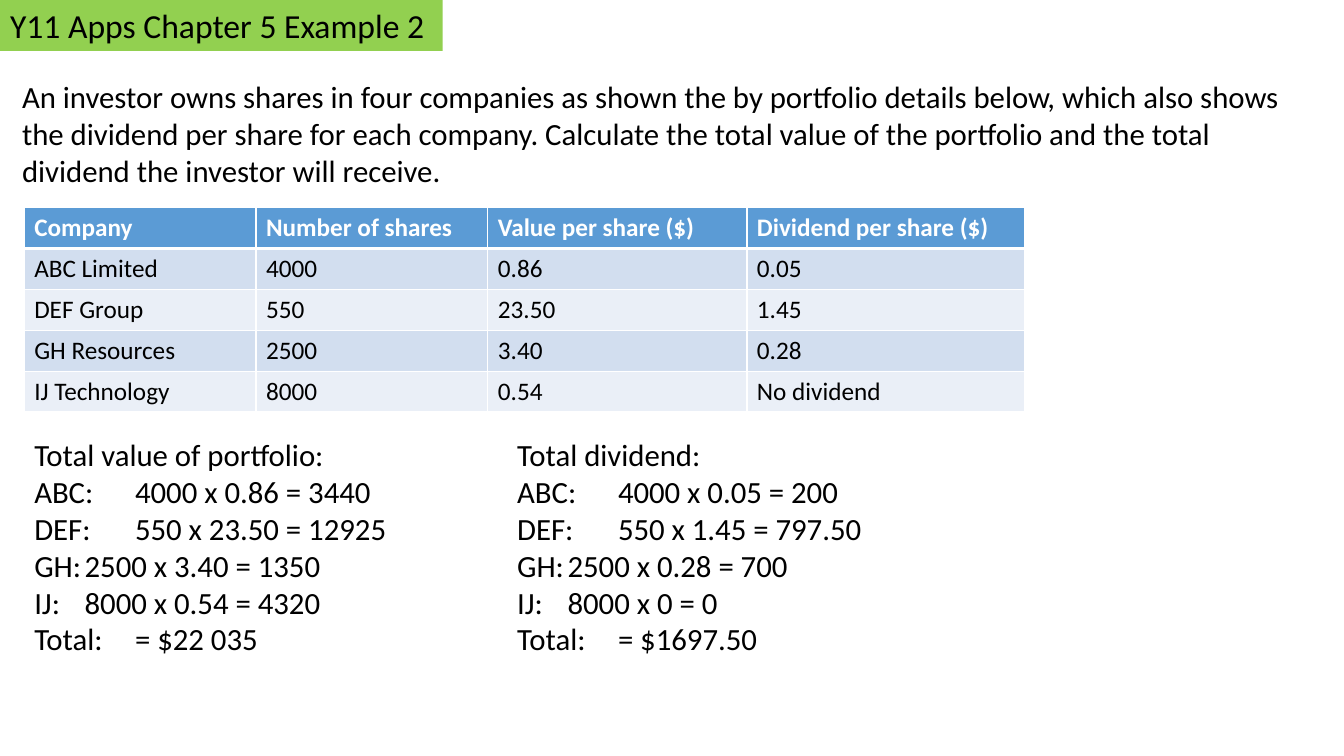
from lxml.etree import SubElement
from pptx import Presentation
from pptx.dml.color import RGBColor
from pptx.enum.text import MSO_ANCHOR, MSO_AUTO_SIZE, PP_ALIGN
from pptx.oxml.ns import qn
from pptx.util import Inches, Pt

COLOURS = {
    "text": "000000", "white": "FFFFFF", "banner": "92D050",
    "header": "5B9BD5", "odd": "D2DEEF", "even": "EAEFF7",
}

deck = Presentation()
deck.slide_width, deck.slide_height = Inches(13.33), Inches(7.5)
# The slide is a grid of 100 columns by 100 rows
COLUMN, ROW = deck.slide_width / 100, deck.slide_height / 100


def write(frame, lines, size=22, colour="text", bold=False, anchor=MSO_ANCHOR.TOP):
    """Fill a text frame from (text, tab stop in columns) pairs."""
    frame.word_wrap = True
    frame.auto_size = MSO_AUTO_SIZE.NONE
    frame.vertical_anchor = anchor
    for number, (text, tab) in enumerate(lines):
        para = frame.paragraphs[0] if number == 0 else frame.add_paragraph()
        properties = para._p.get_or_add_pPr()
        properties.set("marL", "0")
        properties.set("indent", "0")
        SubElement(properties, qn("a:buNone"))
        if tab:
            stops = SubElement(properties, qn("a:tabLst"))
            SubElement(stops, qn("a:tab"), pos=str(round(tab * COLUMN)), algn="l")
        para.alignment = PP_ALIGN.LEFT
        para.space_before = Pt(0)
        span = para.add_run()
        span.text = text
        span.font.name, span.font.size, span.font.bold = "Calibri", Pt(size), bold
        span.font.color.rgb = RGBColor.from_string(COLOURS[colour])


def grid(left, top, width, height):
    """Turn grid columns and rows into lengths."""
    return [round(n * unit) for n, unit in
            zip((left, top, width, height), (COLUMN, ROW, COLUMN, ROW))]


layout = deck.slide_layouts.get_by_name("Two Content")
page = deck.slides.add_slide(layout)
title, *workings = [page.placeholders[index] for index in (0, 1, 2)]
for holder in page.placeholders:
    if holder.placeholder_format.idx > 2:
        holder.element.getparent().remove(holder.element)

# Title banner
title.left, title.top, title.width, title.height = grid(0, 0, 32.93, 6.72)
title.fill.solid()
title.fill.fore_color.rgb = RGBColor.from_string(COLOURS["banner"])
write(title.text_frame, [("Y11 Apps Chapter 5 Example 2", None)], size=24,
      anchor=MSO_ANCHOR.MIDDLE)

# Question
question = page.shapes.add_textbox(*grid(0.9, 9.6, 96.77, 16.13))
write(question.text_frame, [(
    "An investor owns shares in four companies as shown the by portfolio details "
    "below, which also shows the dividend per share for each company. Calculate the "
    "total value of the portfolio and the total dividend the investor will receive.",
    None)])

# Portfolio table
PORTFOLIO = [
    ("Company", "Number of shares", "Value per share ($)", "Dividend per share ($)"),
    ("ABC Limited", "4000", "0.86", "0.05"),
    ("DEF Group", "550", "23.50", "1.45"),
    ("GH Resources", "2500", "3.40", "0.28"),
    ("IJ Technology", "8000", "0.54", "No dividend"),
]
WIDTHS = (17.25, 17.25, 19.28, 20.63)
ROW_HEIGHT = 5.4
table = page.shapes.add_table(
    len(PORTFOLIO), len(WIDTHS),
    *grid(1.8, 27.47, sum(WIDTHS), ROW_HEIGHT * len(PORTFOLIO))).table
for column, width in zip(table.columns, WIDTHS):
    column.width = round(width * COLUMN)
for r, record in enumerate(PORTFOLIO):
    header = r == 0
    table.rows[r].height = round(ROW_HEIGHT * ROW)
    shade = "header" if header else "odd" if r % 2 else "even"
    for c, text in enumerate(record):
        cell = table.cell(r, c)
        write(cell.text_frame, [(text, None)], size=18, bold=header,
              colour="white" if header else "text")
        # White rules, heavier under the header
        weights = {"lnL": 1, "lnR": 1, "lnT": 3 if r == 1 else 1, "lnB": 3 if header else 1}
        for side, weight in weights.items():
            line = SubElement(cell._tc.get_or_add_tcPr(), qn(f"a:{side}"), w=str(Pt(weight)))
            SubElement(SubElement(line, qn("a:solidFill")), qn("a:srgbClr"),
                       val=COLOURS["white"])
        cell.fill.solid()
        cell.fill.fore_color.rgb = RGBColor.from_string(COLOURS[shade])

# Workings, each line with its own tab stop
VALUE = [
    ("Total value of portfolio:", None),
    ("ABC:\t4000 x 0.86 = 3440", 7.5),
    ("DEF:\t550 x 23.50 = 12925", 8.03),
    ("GH:\t2500 x 3.40 = 1350", 7.5),
    ("IJ:\t8000 x 0.54 = 4320", 7.5),
    ("Total:\t= $22 035", 17.03),
]
DIVIDEND = [
    ("Total dividend:", None),
    ("ABC:\t4000 x 0.05 = 200", 7.5),
    ("DEF:\t550 x 1.45 = 797.50", 8.55),
    ("GH:\t2500 x 0.28 = 700", 7.5),
    ("IJ:\t8000 x 0 = 0", 10.05),
    ("Total:\t= $1697.50", 17.55),
]
for box, left, lines in zip(workings, (1.8, 37.73), (VALUE, DIVIDEND)):
    box.left, box.top, box.width, box.height = grid(left, 56.93, 39.68, 35.07)
    write(box.text_frame, lines)

deck.save("out.pptx")
